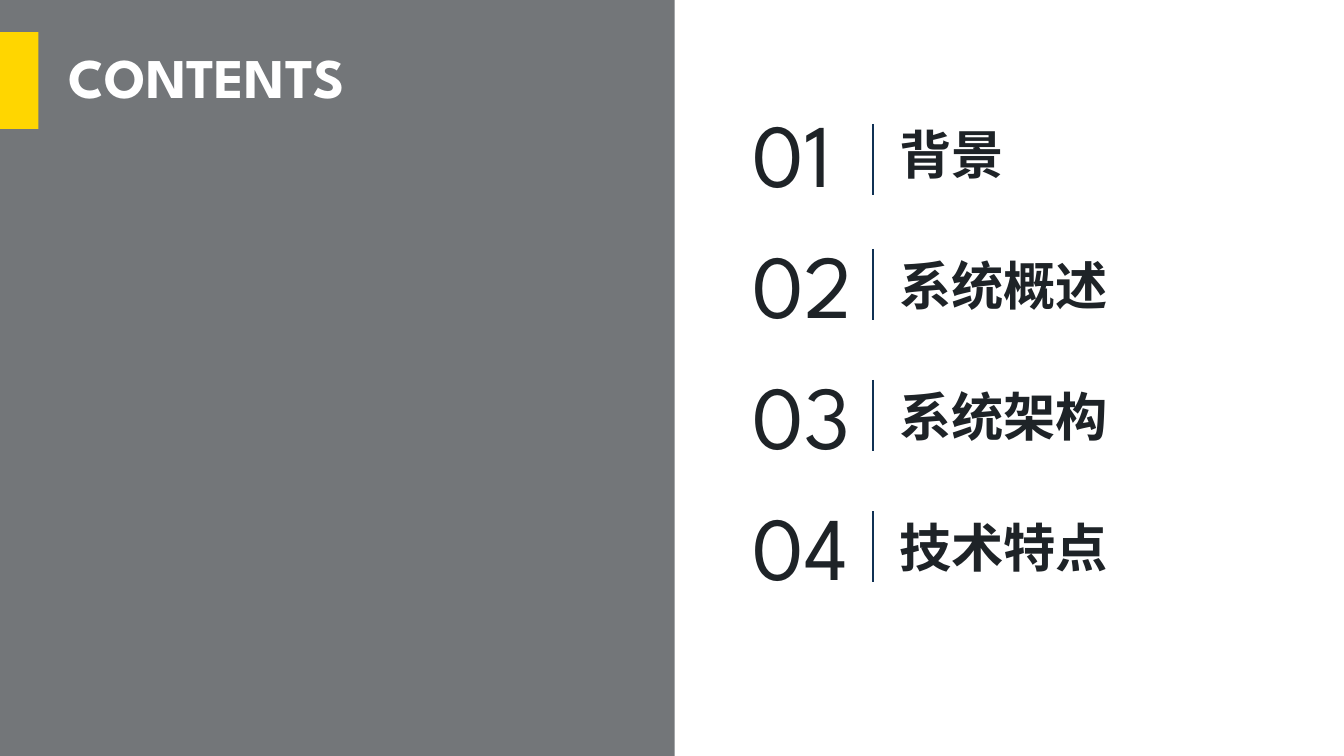
from lxml.etree import SubElement
from pptx import Presentation
from pptx.dml.color import RGBColor as Rgb
from pptx.enum.shapes import MSO_CONNECTOR as Line, MSO_SHAPE as Shape
from pptx.enum.text import MSO_ANCHOR as Anchor, MSO_AUTO_SIZE as Fit, PP_ALIGN as Align
from pptx.oxml.ns import qn
from pptx.util import Inches, Pt

WIDE, HIGH = 13.33, 7.5
FONT = "League Spartan"
INK = {"dark": "1E2327", "white": "FFFFFF", "gold": "FFD600", "navy": "103154"}
ITEMS = [("01", "背景", 0.31), ("02", "系统概述", 0.25),
         ("03", "系统架构", 0.25), ("04", "技术特点", 0.25)]


def tint(name):
    """Return the named colour."""
    return Rgb.from_string(INK[name])


def block(slide, box, name, alpha=None):
    """Draw a plain rectangle, see-through when alpha is given."""
    rect = slide.shapes.add_shape(Shape.RECTANGLE, *map(Inches, box))
    rect.shadow.inherit = False
    rect.line.fill.background()
    rect.fill.solid()
    rect.fill.fore_color.rgb = tint(name)
    if alpha is not None:
        color = rect.element.spPr.find(qn("a:solidFill"))[0]
        SubElement(color, qn("a:alpha"), val=str(alpha * 1000))


def write(frame, text, size, name, bold=False):
    """Put one styled run in the first paragraph and return that paragraph."""
    para = frame.paragraphs[0]
    para.alignment = Align.LEFT
    run = para.add_run()
    run.text = text
    font = run.font
    font.name, font.size, font.bold = FONT, Pt(size), bold
    font.color.rgb = tint(name)
    return para


def label(slide, box, text, size, bold=False, wrap=True):
    """Add a text box that grows with its text and return its frame."""
    frame = slide.shapes.add_textbox(*map(Inches, box)).text_frame
    frame.word_wrap = wrap
    frame.auto_size = Fit.SHAPE_TO_FIT_TEXT
    write(frame, text, size, "dark", bold)
    return frame


def rule(slide, x, top, size):
    """Draw a thin upright line."""
    line = slide.shapes.add_connector(
        Line.STRAIGHT, *map(Inches, (x, top, x, top + size)))
    line.line.color.rgb = tint("navy")
    line.line.width = Pt(1)
    SubElement(line.element.spPr, qn("a:effectLst"))


def header(slide, box):
    """Place the gold tab and the title in a band."""
    x, y, w, h = box
    block(slide, (x, y, 0.38, h), "gold")
    title = slide.shapes.title
    title.left, title.top, title.width, title.height = map(
        Inches, (x + 0.58, y, w - 0.58, h))
    frame = title.text_frame
    frame.word_wrap = True
    frame.auto_size = Fit.NONE
    frame.vertical_anchor = Anchor.MIDDLE
    para = write(frame, "CONTENTS", 40, "white", True)
    para.line_spacing, para.space_before = 0.9, Pt(10)
    title.element.getparent().append(title.element)


def entry(slide, box, item):
    """Place one number, its rule and its heading in a row."""
    x, y, w, h = box
    num, text, drop = item
    label(slide, (x, y, 1.2, h), num, 64, wrap=False)
    rule(slide, x + 1.29, y + drop, 0.7)
    frame = label(slide, (x + 1.45, y + 0.2, w - 1.45, 0.74), text, 37.3, True)
    frame.vertical_anchor = Anchor.MIDDLE
    frame.paragraphs[0].line_spacing = 1.1


def agenda(slide, box):
    """Stack the entries in equal rows."""
    x, y, w, h = box
    step = h / len(ITEMS)
    for i, item in enumerate(ITEMS):
        entry(slide, (x, y + i * step, w, 1.18), item)


def main():
    """Build and save the contents slide."""
    deck = Presentation()
    deck.slide_width, deck.slide_height = Inches(WIDE), Inches(HIGH)
    slide = deck.slides.add_slide(deck.slide_layouts[5])
    block(slide, (0, 0, WIDE, HIGH), "dark", 62)
    block(slide, (6.69, 0, WIDE - 6.69, HIGH), "white")
    header(slide, (0, 0.32, 5.57, 0.96))
    agenda(slide, (7.37, 0.92, 5.4, 5.2))
    deck.save("out.pptx")


if __name__ == "__main__":
    main()
